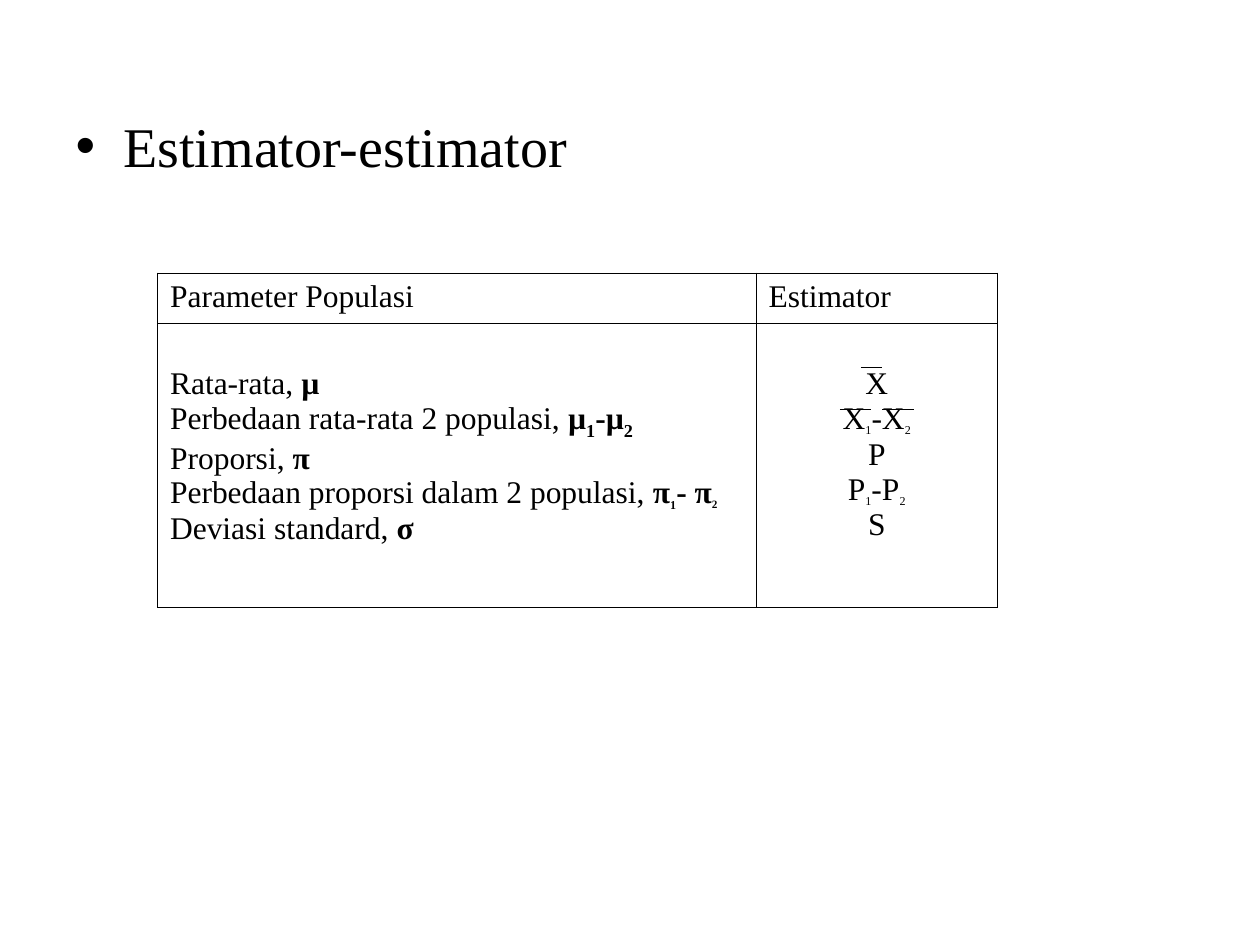
from lxml import etree
from pptx import Presentation
from pptx.dml.color import RGBColor
from pptx.enum.shapes import MSO_CONNECTOR
from pptx.enum.text import PP_ALIGN
from pptx.oxml import parse_xml
from pptx.oxml.ns import nsdecls, qn
from pptx.util import Inches, Pt

BLACK = RGBColor(0, 0, 0)
STRAIGHT = MSO_CONNECTOR.STRAIGHT
LEFT, CENTER = PP_ALIGN.LEFT, PP_ALIGN.CENTER
CONTENT_LAYOUT = 1
GRID_COLUMNS, GRID_ROWS = 120, 90

NORMAL = {}
BOLD = {"bold": True}
SMALL_SUB = {"size": 12, "baseline": -25}
BOLD_SUB = {"bold": True, "baseline": -25}

HEADINGS = ["Parameter Populasi", "Estimator"]
PARAMETERS = [
    [("Rata-rata, ", NORMAL), ("µ", BOLD)],
    [("Perbedaan rata-rata 2 populasi, ", NORMAL), ("µ", BOLD), ("1", BOLD_SUB),
     ("-µ", BOLD), ("2", BOLD_SUB)],
    [("Proporsi, ", NORMAL), ("π", BOLD)],
    [("Perbedaan proporsi dalam 2 populasi, ", NORMAL), ("π", BOLD),
     ("1", {**BOLD_SUB, "size": 12}), ("- π", BOLD), ("2", {**BOLD_SUB, "size": 11})],
    [("Deviasi standard, ", NORMAL), ("σ", BOLD)],
]


def difference(symbol):
    """Return the runs for the difference between two sample statistics."""
    return [(symbol, NORMAL), ("1", SMALL_SUB), (f"-{symbol}", NORMAL), ("2", SMALL_SUB)]


ESTIMATORS = [[("X", NORMAL)], difference("X"), [("P", NORMAL)], difference("P"),
              [("S", NORMAL)]]
OVERBARS = [(82, 84, 35), (80, 83, 39), (84, 87, 39)]


class SlideBuilder:
    """Hold the slide and its style, and place elements on a grid."""

    font_name = "Times New Roman"
    bullet_size, table_size = 32, 18
    border_width, overbar_width = 0.45, 0.75

    def __init__(self, presentation):
        self.column = presentation.slide_width / GRID_COLUMNS
        self.row = presentation.slide_height / GRID_ROWS
        self.slide = presentation.slides.add_slide(presentation.slide_layouts[CONTENT_LAYOUT])
        title = self.slide.shapes.title._element
        title.getparent().remove(title)

    def place(self, column, row):
        return round(column * self.column), round(row * self.row)

    def style_run(self, run, size, bold=False, baseline=0):
        run.font.name = self.font_name
        run.font.size = Pt(size)
        run.font.bold = bold
        run.font.color.rgb = BLACK
        if baseline:
            run._r.get_or_add_rPr().set("baseline", str(baseline * 1000))

    def bullet(self, text, left, top, width, height):
        body = self.slide.placeholders[1]
        body.left, body.top = self.place(left, top)
        body.width, body.height = self.place(width, height)
        body.text_frame.text = text
        paragraph = body.text_frame.paragraphs[0]
        paragraph.space_before = Pt(8)
        properties = paragraph._p.get_or_add_pPr()
        properties.set("marL", str(Inches(0.38)))
        properties.set("indent", str(Inches(-0.38)))
        etree.SubElement(properties, qn("a:buChar"), char="•")
        self.style_run(paragraph.runs[0], self.bullet_size)

    def table(self, left, top, column_widths, row_heights):
        frame = self.slide.shapes.add_table(
            len(row_heights), len(column_widths), *self.place(left, top),
            *self.place(sum(column_widths), sum(row_heights)))
        table = frame.table
        table.first_row = table.horz_banding = False
        for column, width in zip(table.columns, column_widths):
            column.width = self.place(width, 0)[0]
        for row, height in zip(table.rows, row_heights):
            row.height = self.place(0, height)[1]
        for cell in table.iter_cells():
            self.border(cell)
            cell.fill.background()
        return table

    def border(self, cell):
        properties = cell._tc.get_or_add_tcPr()
        for side in ("lnL", "lnR", "lnT", "lnB"):
            properties.append(parse_xml(
                f'<a:{side} {nsdecls("a")} w="{Pt(self.border_width)}"><a:solidFill>'
                f'<a:srgbClr val="{BLACK}"/></a:solidFill></a:{side}>'))

    def fill_cell(self, cell, lines, alignment=LEFT, top_margin=0.05):
        cell.margin_top = Inches(top_margin)
        frame = cell.text_frame
        for number, line in enumerate(lines):
            paragraph = frame.add_paragraph() if number else frame.paragraphs[0]
            paragraph.alignment = alignment
            for text, style in line:
                run = paragraph.add_run()
                run.text = text
                self.style_run(run, **{"size": self.table_size, **style})

    def overbar(self, start, end, row):
        bar = self.slide.shapes.add_connector(
            STRAIGHT, *self.place(start, row), *self.place(end, row))
        bar.line.color.rgb = BLACK
        bar.line.width = Pt(self.overbar_width)
        etree.SubElement(bar._element.spPr, qn("a:effectLst"))


def main():
    presentation = Presentation()
    presentation.slide_width, presentation.slide_height = Inches(10), Inches(7.5)
    builder = SlideBuilder(presentation)
    builder.bullet("Estimator-estimator", 6, 10, 108, 59.4)
    table = builder.table(15, 26, column_widths=[57, 23], row_heights=[4.8, 27])
    for index, heading in enumerate(HEADINGS):
        builder.fill_cell(table.cell(0, index), [[(heading, NORMAL)]])
    builder.fill_cell(table.cell(1, 0), PARAMETERS, top_margin=0.34)
    builder.fill_cell(table.cell(1, 1), ESTIMATORS, CENTER, top_margin=0.34)
    for start, end, row in OVERBARS:
        builder.overbar(start, end, row)
    presentation.save("out.pptx")


if __name__ == "__main__":
    main()
